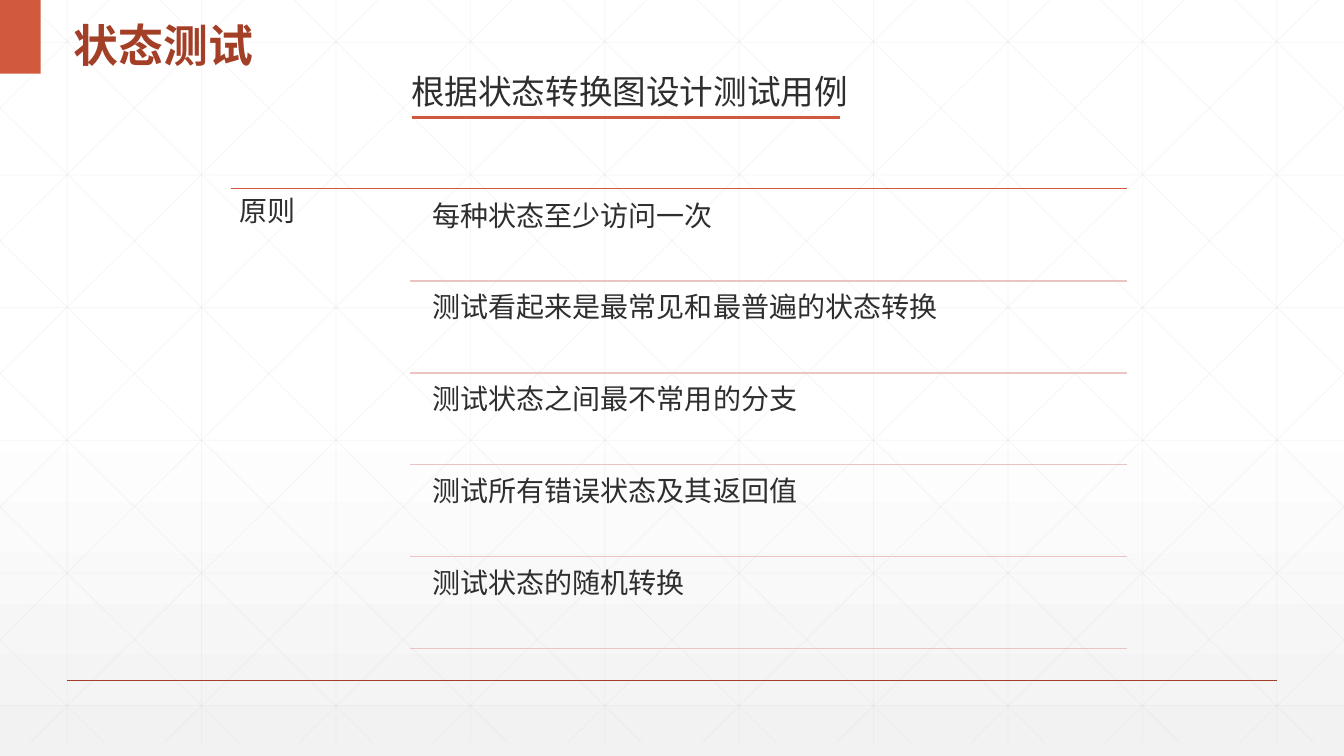
"""Build the state testing slide with its five test design principles."""
from dataclasses import dataclass

from pptx import Presentation
from pptx.dml.color import RGBColor
from pptx.enum.shapes import MSO_CONNECTOR as Connector, MSO_SHAPE as Preset
from pptx.enum.text import MSO_ANCHOR as Anchor, MSO_AUTO_SIZE as AutoSize, PP_ALIGN as Align
from pptx.oxml.ns import qn
from pptx.oxml.xmlchemy import OxmlElement
from pptx.slide import Slide
from pptx.text.text import TextFrame
from pptx.util import Pt

WHITE = RGBColor(0xFF, 0xFF, 0xFF)
PALE_GRAY = RGBColor(0xF2, 0xF2, 0xF2)
GRID_GRAY = RGBColor(0xD9, 0xD9, 0xD9)
BRICK = RGBColor(0xA4, 0x3F, 0x27)
ORANGE = RGBColor(0xD1, 0x5A, 0x3E)
PINK = RGBColor(0xE9, 0xC4, 0xC0)
INK = RGBColor(0x2D, 0x2E, 0x2D)

CJK_FONT = "Noto Sans CJK SC"
WIDTH, HEIGHT = 960, 540
GRID_BOTTOM = 530.6
GRID_STEP = 96
GRID_ROW_STEP = 94.74
DIAGONAL_RUN = 536.6
ROW_TOP, ROW_STEP, ROW_HEIGHT = 138.2, 65.6, 62.6
LIST_RIGHT = 805

PRINCIPLES = (
    "每种状态至少访问一次",
    "测试看起来是最常见和最普遍的状态转换",
    "测试状态之间最不常用的分支",
    "测试所有错误状态及其返回值",
    "测试状态的随机转换",
)


@dataclass(frozen=True)
class Line:
    """Hold the two ends and the look of a straight line."""
    x1: float
    y1: float
    x2: float
    y2: float
    color: RGBColor = GRID_GRAY
    weight: float = 0.5
    opacity: int = 100


@dataclass(frozen=True)
class Area:
    """Hold the place and size of a box."""
    left: float
    top: float
    width: float
    height: float


def draw_line(page: Slide, line: Line) -> None:
    """Draw one straight line without a shadow."""
    connector = page.shapes.add_connector(
        Connector.STRAIGHT, Pt(line.x1), Pt(line.y1), Pt(line.x2), Pt(line.y2))
    connector.line.color.rgb = line.color
    connector.line.width = Pt(line.weight)
    properties = connector.element.spPr
    if line.opacity < 100:
        alpha = OxmlElement("a:alpha")
        alpha.set("val", str(line.opacity * 1000))
        properties.find(".//" + qn("a:srgbClr")).append(alpha)
    properties.append(OxmlElement("a:effectLst"))


def write_text(frame: TextFrame, text: str, *, size: float, color: RGBColor = INK,
               font: str = CJK_FONT, bold: bool = False, spacing: float = 1.3,
               anchor: Anchor = Anchor.MIDDLE, inset: float | None = None) -> None:
    """Fill a text frame with one formatted paragraph."""
    frame.word_wrap = True
    frame.auto_size = AutoSize.NONE
    frame.vertical_anchor = anchor
    if inset is not None:
        frame.margin_left = frame.margin_right = Pt(inset)
        frame.margin_top = frame.margin_bottom = Pt(inset)
    para = frame.paragraphs[0]
    para.alignment = Align.LEFT
    para.line_spacing = spacing
    para.space_before = Pt(0)
    span = para.add_run()
    span.text = text
    span.font.size = Pt(size)
    span.font.bold = bold
    span.font.color.rgb = color
    span.font.name = font
    east_asian = OxmlElement("a:ea")
    east_asian.set("typeface", CJK_FONT)
    span.font._element.find(qn("a:latin")).addnext(east_asian)


def add_text(page: Slide, area: Area, text: str, **style) -> None:
    """Add a text box holding one paragraph."""
    box = page.shapes.add_textbox(
        Pt(area.left), Pt(area.top), Pt(area.width), Pt(area.height))
    write_text(box.text_frame, text, **style)


def clipped_diagonal(start: float) -> Line:
    """Return a falling diagonal cut at the slide's left and right edges."""
    slope = GRID_BOTTOM / DIAGONAL_RUN
    left, right = max(start, 0), min(start + DIAGONAL_RUN, WIDTH)
    return Line(left, (left - start) * slope, right, (right - start) * slope, opacity=25)


def draw_backdrop(page: Slide) -> None:
    """Draw the gradient, the faint grid, the footer rule and the corner block."""
    fill = page.background.fill
    fill.gradient()
    fill.gradient_angle = 270
    for stop, color, position in zip(fill.gradient_stops, (WHITE, PALE_GRAY), (0.53, 1)):
        stop.color.rgb = color
        stop.position = position

    for column in range(10):
        x = 48 + column * GRID_STEP
        draw_line(page, Line(x, 0, x, GRID_BOTTOM, opacity=25))
    for row in range(6):
        y = 30.3 + row * GRID_ROW_STEP
        draw_line(page, Line(0, y, WIDTH, y, opacity=25))
    for index in range(-5, 10):
        falling = clipped_diagonal(18 + index * GRID_STEP)
        draw_line(page, falling)
        draw_line(page, Line(WIDTH - falling.x1, falling.y1,
                             WIDTH - falling.x2, falling.y2, opacity=25))

    draw_line(page, Line(48, 486, 912, 486, BRICK, 1))
    block = page.shapes.add_shape(Preset.RECTANGLE, 0, 0, Pt(29), Pt(52.6))
    block.shadow.inherit = False
    block.fill.solid()
    block.fill.fore_color.rgb = ORANGE
    block.line.fill.background()


def place_title(page: Slide) -> None:
    """Place and format the title above the backdrop."""
    title = page.shapes.title
    title.left, title.top, title.width, title.height = Pt(45.4), Pt(0), Pt(409.7), Pt(52.6)
    write_text(title.text_frame, "状态测试", size=32, color=BRICK, font="Arial", bold=True)
    title.element.getparent().append(title.element)


def draw_principles(page: Slide) -> None:
    """Draw the heading and the ruled list of principles."""
    add_text(page, Area(286.6, 40.3, 336, 41), "根据状态转换图设计测试用例", size=24)
    draw_line(page, Line(294.5, 84.2, 600, 84.2, ORANGE, 2))
    draw_line(page, Line(165, 134.6, LIST_RIGHT, 134.6, ORANGE, 1))
    style = {"size": 20, "spacing": 0.9, "anchor": Anchor.TOP, "inset": 6}
    add_text(page, Area(165, 134.6, 128, 331), "原则", **style)
    for index, principle in enumerate(PRINCIPLES):
        top = ROW_TOP + index * ROW_STEP
        bottom = top + ROW_HEIGHT
        add_text(page, Area(303, top, 502, ROW_HEIGHT), principle, **style)
        draw_line(page, Line(293, bottom, LIST_RIGHT, bottom, PINK, 1))


def main() -> None:
    """Create the deck and save it."""
    deck = Presentation()
    deck.slide_width, deck.slide_height = Pt(WIDTH), Pt(HEIGHT)
    page = deck.slides.add_slide(deck.slide_layouts[5])
    draw_backdrop(page)
    place_title(page)
    draw_principles(page)
    deck.save("out.pptx")


if __name__ == "__main__":
    main()
